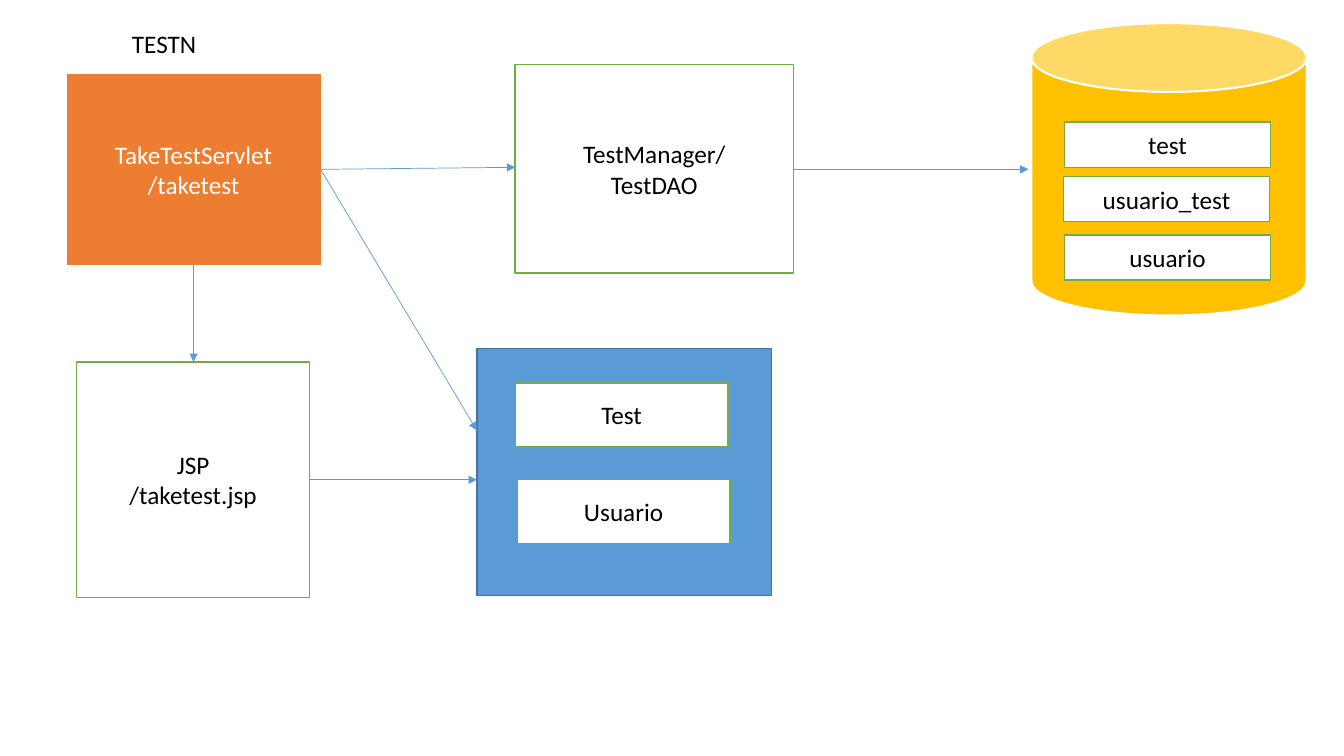
import pptx
import pptx.dml.color
import pptx.enum.shapes
import pptx.enum.text
import pptx.oxml.ns
import pptx.util
from dataclasses import dataclass
from lxml import etree

Inches = pptx.util.Inches
Preset = pptx.enum.shapes.MSO_SHAPE


@dataclass(frozen=True)
class Theme:
    """Colours, font and sizes of the diagram."""
    white: str = "FFFFFF"
    black: str = "000000"
    orange: str = "ED7D31"
    green: str = "70AD47"
    gold: str = "FFC000"
    blue: str = "5B9BD5"
    dark_blue: str = "43739E"
    font: str = "Calibri"
    text_size: float = 18
    thin: float = 0.5
    normal: float = 1
    thick: float = 1.5


def rgb(code):
    """Turn a hex code into a colour."""
    return pptx.dml.color.RGBColor.from_string(code)


class Diagram:
    """Draws styled elements on the current slide."""

    def __init__(self, slide, theme):
        """Keep the slide and its theme."""
        self.slide = slide
        self.theme = theme

    def set_lines(self, frame, lines, color, align):
        """Put one paragraph in the frame for each line."""
        frame.word_wrap = True
        for number, line in enumerate(lines):
            paragraph = frame.paragraphs[0] if number == 0 else frame.add_paragraph()
            paragraph.text = line
            paragraph.alignment = align
            paragraph.font.name = self.theme.font
            paragraph.font.size = pptx.util.Pt(self.theme.text_size)
            paragraph.font.color.rgb = rgb(color)

    def block(self, bounds, fill, outline, weight, lines=(), color=None, preset=Preset.RECTANGLE):
        """Add a filled shape with centred text."""
        shape = self.slide.shapes.add_shape(preset, *map(Inches, bounds))
        shape.shadow.inherit = False
        shape.fill.solid()
        shape.fill.fore_color.rgb = rgb(fill)
        shape.line.color.rgb = rgb(outline)
        shape.line.width = pptx.util.Pt(weight)
        shape.text_frame.vertical_anchor = pptx.enum.text.MSO_ANCHOR.MIDDLE
        self.set_lines(shape.text_frame, lines, color, pptx.enum.text.PP_ALIGN.CENTER)

    def card(self, bounds, *lines):
        """Add a white box with a green outline."""
        self.block(bounds, self.theme.white, self.theme.green, self.theme.normal,
                   lines, self.theme.black)

    def label(self, bounds, text):
        """Add a free line of text."""
        box = self.slide.shapes.add_textbox(*map(Inches, bounds))
        self.set_lines(box.text_frame, [text], self.theme.black, pptx.enum.text.PP_ALIGN.LEFT)

    def arrow(self, start, end):
        """Add a straight arrow from start to end."""
        connector = self.slide.shapes.add_connector(
            pptx.enum.shapes.MSO_CONNECTOR.STRAIGHT, *map(Inches, start + end))
        connector.line.color.rgb = rgb(self.theme.blue)
        connector.line.width = pptx.util.Pt(self.theme.thin)
        qn = pptx.oxml.ns.qn
        properties = connector.element.spPr
        etree.SubElement(properties.find(qn("a:ln")), qn("a:tailEnd"), type="triangle")
        etree.SubElement(properties, qn("a:effectLst"))


def main():
    """Build the diagram and save it."""
    deck = pptx.Presentation()
    deck.slide_width, deck.slide_height = Inches(13.33), Inches(7.5)
    theme = Theme()
    diagram = Diagram(deck.slides.add_slide(deck.slide_layouts[6]), theme)

    diagram.label((1.21, 0.23, 10.38, 0.42), "TESTN")
    diagram.block((0.65, 0.72, 2.54, 1.92), theme.orange, theme.white, theme.thick,
                  ("TakeTestServlet", "/taketest"), theme.white)
    diagram.card((5.11, 0.64, 2.76, 2.07), "TestManager/", "TestDAO")
    diagram.card((0.76, 3.59, 2.31, 2.34), "JSP", "/taketest.jsp")

    diagram.block((10.23, 0.23, 2.73, 2.9), theme.gold, theme.white, theme.thick,
                  preset=Preset.CAN)
    for left, top, table in ((10.56, 1.21, "test"), (10.55, 1.75, "usuario_test"),
                             (10.56, 2.33, "usuario")):
        diagram.card((left, top, 2.04, 0.45), table)

    diagram.block((4.73, 3.46, 2.92, 2.45), theme.blue, theme.dark_blue, theme.normal)
    for left, top, entity in ((5.11, 3.8, "Test"), (5.13, 4.76, "Usuario")):
        diagram.card((left, top, 2.11, 0.63), entity)

    servlet_exit = (3.18, 1.68)
    for start, end in ((servlet_exit, (5.11, 1.66)),
                       (servlet_exit, (4.73, 4.27)),
                       ((7.87, 1.68), (10.2, 1.68)),
                       ((1.92, 2.63), (1.92, 3.59)),
                       ((3.07, 4.76), (4.73, 4.76))):
        diagram.arrow(start, end)

    deck.save("out.pptx")


main()
